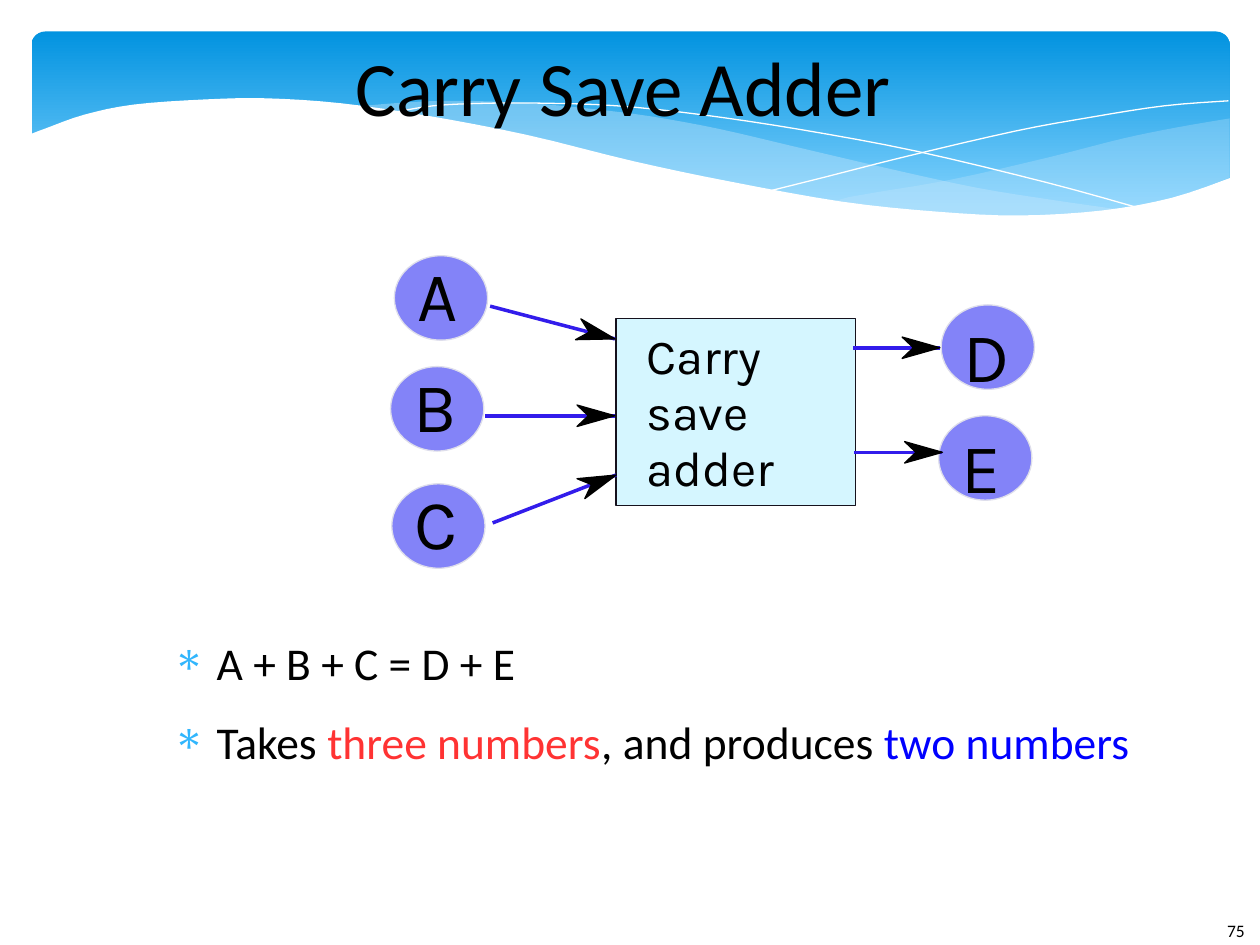
from math import hypot

from lxml import etree
from pptx import Presentation
from pptx.dml.color import RGBColor
from pptx.enum.shapes import MSO_CONNECTOR, MSO_SHAPE
from pptx.enum.text import MSO_ANCHOR, PP_ALIGN
from pptx.oxml.ns import qn
from pptx.util import Inches, Pt

ROUNDED, RECTANGLE, ELLIPSE = MSO_SHAPE.ROUNDED_RECTANGLE, MSO_SHAPE.RECTANGLE, MSO_SHAPE.OVAL
STRAIGHT = MSO_CONNECTOR.STRAIGHT
MIDDLE, TOP = MSO_ANCHOR.MIDDLE, MSO_ANCHOR.TOP
CENTER, LEFT = PP_ALIGN.CENTER, PP_ALIGN.LEFT
BLACK, WHITE, PALE_BLUE = "000000", "FFFFFF", "C6E7FC"
SKY_TOP, SKY_BOTTOM, BULLET = "0293E0", "83D3FE", "31B6FD"
NODE_FILL, NODE_LINE = "8383F8", "DEDEEB"
BOX_FILL, BOX_LINE, ARROW_LINE = "D5F6FF", "15111D", "321CEB"
TEXT_FONT, DIAGRAM_FONT = "Calibri", "Karla"

RIGHT_WAVE = [(9.76, 0.94), (9.35, 1.01), (8.91, 1.1), (8.32, 1.25), (7.53, 1.43), (6.61, 1.6),
              (7.19, 1.67), (7.69, 1.71), (8.14, 1.72), (8.54, 1.7), (8.97, 1.65), (9.35, 1.56),
              (9.76, 1.41)]
MIDDLE_WAVE = [(8.93, 1.67), (8.37, 1.59), (7.75, 1.49), (7.06, 1.34), (6.29, 1.16), (5.69, 1.02),
               (5.14, 0.92), (4.65, 0.86), (4.2, 0.82), (3.61, 0.8), (3.13, 0.82), (2.86, 0.86),
               (3.42, 0.94), (4.04, 1.06), (4.91, 1.26), (5.66, 1.43), (6.34, 1.56), (6.95, 1.65),
               (7.48, 1.7), (7.96, 1.73), (8.38, 1.72), (8.76, 1.69), (8.93, 1.67)]
FALLING_CURVE = [(3.09, 0.9), (3.44, 0.84), (3.87, 0.82), (4.33, 0.82), (4.89, 0.84), (5.56, 0.91),
                 (6.36, 1.03), (7.27, 1.2), (8.31, 1.45), (9.07, 1.66)]
RISING_CURVE = [(6.13, 1.51), (6.53, 1.41), (7.2, 1.24), (8.06, 1.04), (8.66, 0.93), (9.24, 0.84),
                (9.75, 0.8)]
LOWER_EDGE = [(9.77, 1.41), (9.3, 1.57), (8.75, 1.67), (8.09, 1.71), (7.44, 1.68), (6.68, 1.6),
              (5.79, 1.44), (5.03, 1.28), (4.18, 1.07), (3.4, 0.92), (2.71, 0.82), (2.11, 0.78),
              (1.61, 0.79), (1.06, 0.83), (0.67, 0.91), (0.36, 1.02), (0.23, 1.07)]
NODES = [("A", 3.13, 2.03, -0.03), ("B", 3.1, 2.91, -0.03), ("C", 3.11, 3.84, -0.03),
         ("D", 7.47, 2.42, 0.06), ("E", 7.45, 3.3, 0.06)]
ARROWS = [((3.89, 2.43), (4.88, 2.69)), ((3.85, 3.3), (4.88, 3.3)), ((3.91, 4.15), (4.89, 3.77)),
          ((6.77, 2.76), (7.46, 2.76)), ((6.78, 3.59), (7.48, 3.59))]
STATEMENTS = [[("A + B + C = D + E", BLACK)],
              [("Takes ", BLACK), ("three numbers", "FF3333"), (", and produces ", BLACK),
               ("two numbers", "0000FF")]]


def rgb(value):
    """Turn a hex string into a colour."""
    return RGBColor.from_string(value)


def paint(shape, fill=None, line=None, opacity=100):
    """Give a shape its fill, hairline and opacity, without a shadow."""
    shape.shadow.inherit = False
    if fill:
        shape.fill.solid()
        shape.fill.fore_color.rgb = rgb(fill)
        if opacity < 100:
            colour = next(shape.element.iter(qn("a:srgbClr")))
            etree.SubElement(colour, qn("a:alpha"), val=str(opacity * 1000))
    else:
        shape.fill.background()
    if line:
        shape.line.color.rgb = rgb(line)
        shape.line.width = Pt(0)
    else:
        shape.line.fill.background()


def smooth(points, steps=4):
    """Run a Catmull-Rom curve through the points."""
    padded = [points[0], *points, points[-1]]
    curve = [points[0]]
    for a, b, c, d in zip(padded, padded[1:], padded[2:], padded[3:]):
        for t in (step / steps for step in range(1, steps + 1)):
            curve.append(tuple(
                (2 * q + (r - p) * t + (2 * p - 5 * q + 4 * r - s) * t ** 2
                 + (3 * q - p - 3 * r + s) * t ** 3) / 2
                for p, q, r, s in zip(a, b, c, d)))
    return curve


def add_outline(slide, points, fill=None, line=None, opacity=100):
    """Draw a filled outline, or an open curve when there is no fill."""
    corners = [(Inches(x), Inches(y)) for x, y in points]
    builder = slide.shapes.build_freeform(*corners[0])
    builder.add_line_segments(corners[1:], close=fill is not None)
    paint(builder.convert_to_shape(), fill, line, opacity)


def add_block(slide, preset, place, fill, line):
    """Add a preset shape at a place in inches."""
    block = slide.shapes.add_shape(preset, *map(Inches, place))
    paint(block, fill, line)
    return block


def add_run(paragraph, text, size, colour=BLACK, font=TEXT_FONT):
    """Add one formatted run."""
    run = paragraph.add_run()
    run.text = text
    run.font.size = Pt(size)
    run.font.name = font
    run.font.color.rgb = rgb(colour)


def set_frame(frame, anchor=TOP, wrap=True, inset=0):
    """Set the insets, wrapping and anchor of a text frame."""
    frame.margin_left = frame.margin_right = Inches(inset)
    frame.margin_top = frame.margin_bottom = Inches(inset / 2)
    frame.word_wrap = wrap
    frame.vertical_anchor = anchor


def add_label(slide, text, place, size, font=DIAGRAM_FONT, inset=0):
    """Add a one-line text box."""
    frame = slide.shapes.add_textbox(*map(Inches, place)).text_frame
    set_frame(frame, wrap=False, inset=inset)
    frame.paragraphs[0].alignment = LEFT
    add_run(frame.paragraphs[0], text, size, font=font)


def add_header(slide):
    """Draw the blue band with its waves."""
    band = add_block(slide, ROUNDED, (0.25, 0.25, 9.51, 1.56), SKY_TOP, None)
    band.adjustments[0] = 0.07
    band.fill.gradient()
    band.fill.gradient_angle = 270
    for stop, colour, position in zip(band.fill.gradient_stops, (SKY_TOP, SKY_BOTTOM), (0, 0.9)):
        stop.color.rgb = rgb(colour)
        stop.position = position
    add_outline(slide, smooth(RIGHT_WAVE), PALE_BLUE, opacity=29)
    add_outline(slide, smooth(MIDDLE_WAVE), PALE_BLUE, opacity=40)
    for curve in (FALLING_CURVE, RISING_CURVE):
        add_outline(slide, smooth(curve), line=WHITE)
    add_outline(slide, smooth(LOWER_EDGE) + [(0.23, 2.24), (9.77, 2.24)], WHITE)


def add_title(slide, text):
    """Place the title in front of the header."""
    title = slide.shapes.title
    title.left, title.top, title.width, title.height = map(Inches, (0.89, 0.17, 8.11, 1.02))
    set_frame(title.text_frame, MIDDLE)
    title.text_frame.paragraphs[0].alignment = CENTER
    add_run(title.text_frame.paragraphs[0], text, 44)
    slide.shapes.element.append(title.element)


def add_statements(slide):
    """Add the bulleted statements."""
    frame = slide.shapes.add_textbox(*map(Inches, (1.25, 5.04, 8.11, 1.66))).text_frame
    set_frame(frame)
    for index, runs in enumerate(STATEMENTS):
        paragraph = frame.add_paragraph() if index else frame.paragraphs[0]
        paragraph.space_after = Pt(14.1)
        properties = paragraph._p.get_or_add_pPr()
        properties.set("marL", str(Inches(0.47)))
        properties.set("indent", str(Inches(-0.35)))
        colour = etree.SubElement(properties, qn("a:buClr"))
        etree.SubElement(colour, qn("a:srgbClr"), val=BULLET)
        etree.SubElement(properties, qn("a:buChar"), char="∗")
        for text, text_colour in runs:
            add_run(paragraph, text, 26, text_colour)


def add_arrow(slide, start, tip):
    """Draw a line with a barbed head at its tip."""
    line = slide.shapes.add_connector(STRAIGHT, *map(Inches, (*start, *tip)))
    line.line.color.rgb = rgb(ARROW_LINE)
    line.line.width = Pt(0)
    etree.SubElement(line.element.spPr, qn("a:effectLst"))
    dx, dy = tip[0] - start[0], tip[1] - start[1]
    ux, uy = dx / hypot(dx, dy), dy / hypot(dx, dy)
    head = [(tip[0] - back * ux - side * uy, tip[1] - back * uy + side * ux)
            for back, side in ((0.21, 0), (0.3, 0.085), (0, 0), (0.3, -0.085))]
    add_outline(slide, head, BLACK, BLACK)


def add_diagram(slide):
    """Draw the adder with its inputs and outputs."""
    add_block(slide, RECTANGLE, (4.89, 2.53, 1.9, 1.48), BOX_FILL, BOX_LINE)
    for letter, left, top, drop in NODES:
        add_block(slide, ELLIPSE, (left, top, 0.74, 0.67), NODE_FILL, NODE_LINE)
        add_label(slide, letter, (left + 0.18, top + drop, 0.38, 0.67), 40)
    for row, word in enumerate(("Carry", "save", "adder")):
        add_label(slide, word, (5.13, 2.58 + 0.445 * row, 1.2, 0.53), 28)
    for start, tip in ARROWS:
        add_arrow(slide, start, tip)


def main():
    """Build and save the slide."""
    deck = Presentation()
    deck.slide_width, deck.slide_height = Inches(10), Inches(7.5)
    slide = deck.slides.add_slide(deck.slide_layouts[5])
    add_header(slide)
    add_label(slide, "75", (9.64, 7.25, 0.61, 0.4), 10, TEXT_FONT, 0.1)
    add_title(slide, "Carry Save Adder")
    add_statements(slide)
    add_diagram(slide)
    deck.save("out.pptx")


if __name__ == "__main__":
    main()
